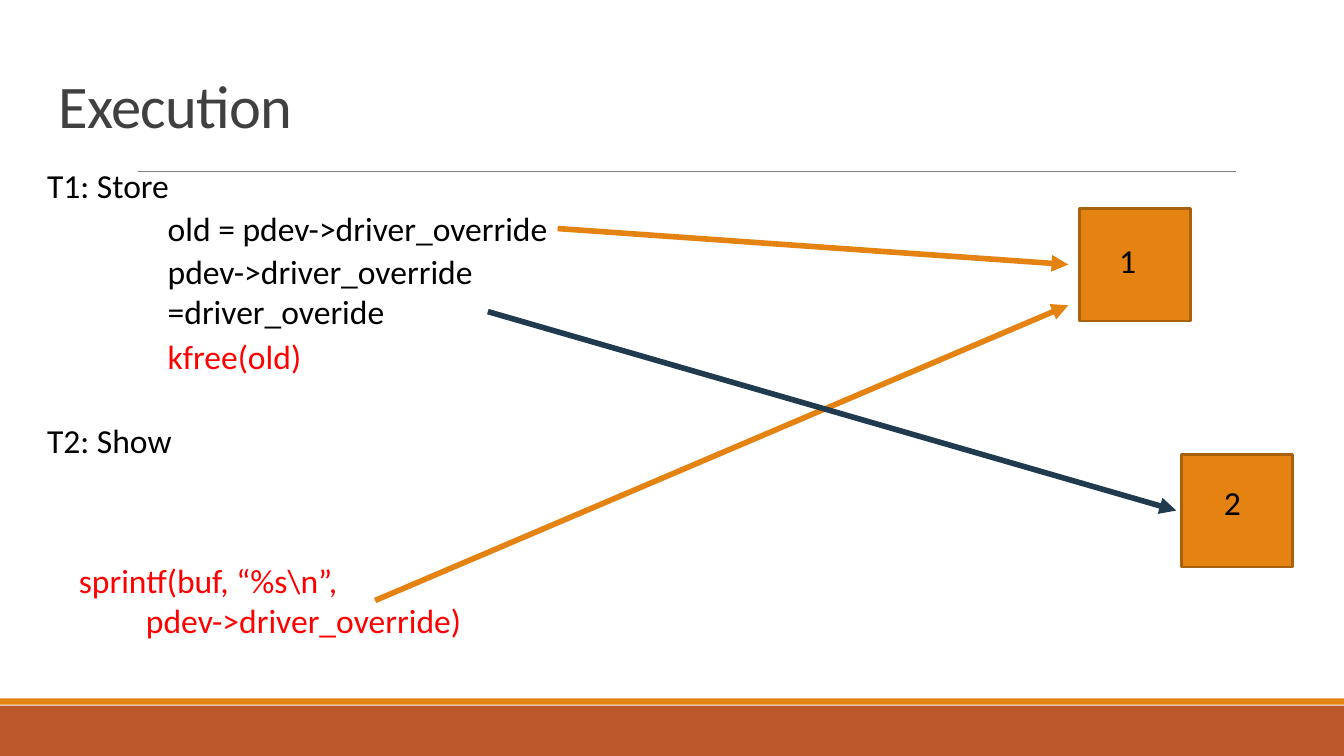
from lxml.etree import SubElement
from pptx import Presentation
from pptx.dml.color import RGBColor
from pptx.enum.shapes import MSO_CONNECTOR, MSO_SHAPE
from pptx.enum.text import MSO_ANCHOR, MSO_AUTO_SIZE
from pptx.oxml.ns import qn
from pptx.util import Cm, Pt

ORANGE, RUST, NAVY, RED = "E48312", "BD582C", "203A4E", "FF0000"


def color(value):
    return RGBColor.from_string(value)


def add_text(para, text, size=18, fill="000000", tracking=None, tab=1.27):
    if "\t" in text:
        tabs = SubElement(para._p.get_or_add_pPr(), qn("a:tabLst"))
        SubElement(tabs, qn("a:tab"), pos=str(Cm(tab)), algn="l")
    span = para.add_run()
    span.text = text
    span.font.name = "Calibri"
    span.font.size = Pt(size)
    span.font.color.rgb = color(fill)
    if tracking is not None:
        span._r.get_or_add_rPr().set("spc", str(round(tracking * 100)))


class Canvas:
    """Draws styled elements on one page."""

    def __init__(self, page):
        self.page = page

    def rectangle(self, left, top, width, height, fill, border=None):
        block = self.page.shapes.add_shape(
            MSO_SHAPE.RECTANGLE, Cm(left), Cm(top), Cm(width), Cm(height))
        block.shadow.inherit = False
        block.fill.solid()
        block.fill.fore_color.rgb = color(fill)
        if border:
            block.line.color.rgb = color(border)
            block.line.width = Pt(1.25)
        else:
            block.line.fill.background()

    def line(self, start, end, stroke, width=3, arrow=True):
        link = self.page.shapes.add_connector(
            MSO_CONNECTOR.STRAIGHT, *map(Cm, start + end))
        link.line.color.rgb = color(stroke)
        link.line.width = Pt(width)
        if arrow:
            SubElement(link.line._get_or_add_ln(), qn("a:tailEnd"), type="triangle")
        SubElement(link._element.spPr, qn("a:effectLst"))

    def text(self, left, top, width, lines, **style):
        height = 1.02 if len(lines) == 1 and "\t" not in lines[0] else 1.8
        box = self.page.shapes.add_textbox(Cm(left), Cm(top), Cm(width), Cm(height))
        frame = box.text_frame
        frame.word_wrap = True
        frame.auto_size = MSO_AUTO_SIZE.SHAPE_TO_FIT_TEXT
        for index, line in enumerate(lines):
            para = frame.add_paragraph() if index else frame.paragraphs[0]
            add_text(para, line, **style)

    def title(self, text):
        box = self.page.shapes.add_textbox(Cm(0.86), Cm(1.24), Cm(23.67), Cm(1.6))
        frame = box.text_frame
        frame.word_wrap = True
        frame.vertical_anchor = MSO_ANCHOR.TOP
        frame.margin_top = frame.margin_bottom = Cm(0.25)
        para = frame.paragraphs[0]
        para.line_spacing = 0.85
        add_text(para, text, size=32.4, fill="404040", tracking=-0.4)


def main():
    deck = Presentation()
    deck.slide_width, deck.slide_height = Cm(25.4), Cm(14.29)
    canvas = Canvas(deck.slides.add_slide(deck.slide_layouts[6]))

    canvas.rectangle(0, 13.34, 25.4, 0.95, RUST)
    canvas.rectangle(0, 13.2, 25.4, 0.12, ORANGE)
    canvas.line((2.6, 3.24), (23.36, 3.24), "808080", width=0.5, arrow=False)
    canvas.title("Execution")

    for top, thread in ((3, "T1: Store"), (7.82, "T2: Show")):
        canvas.text(0.64, top, 3.3, [thread])
    for left, top in ((20.4, 3.94), (22.33, 8.59)):
        canvas.rectangle(left, top, 2.1, 2.13, ORANGE, border="A9610D")

    canvas.text(2.92, 3.81, 8.36, ["old = pdev->driver_override"])
    canvas.line((10.54, 4.32), (20.19, 5), ORANGE)
    canvas.text(1.24, 10.46, 8.36,
                ["sprintf(buf, “%s\\n”,", "\tpdev->driver_override)"], fill=RED)
    canvas.line((7.09, 11.35), (20.19, 5.77), ORANGE)
    canvas.text(2.92, 4.62, 8.36, ["pdev->driver_override \t=driver_overide"])
    canvas.text(2.92, 6.22, 8.36, ["kfree(old)"], fill=RED)
    canvas.line((9.22, 5.89), (22.23, 9.65), NAVY)

    for left, top, number in ((20.9, 4.42, "1"), (22.88, 8.99, "2")):
        canvas.text(left, top, 1.57, [number])

    deck.save("out.pptx")


if __name__ == "__main__":
    main()
